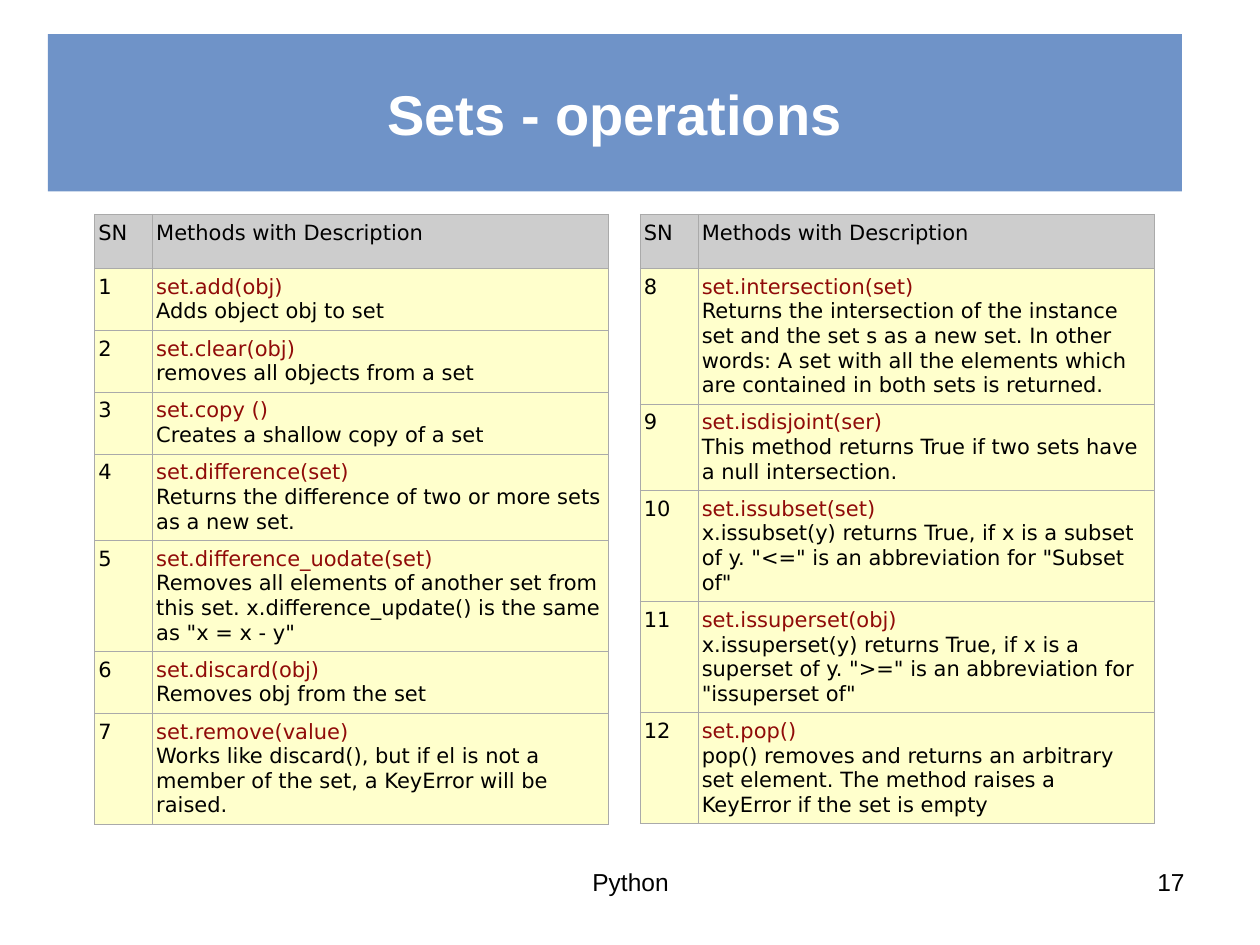
from lxml import etree
from pptx import Presentation
from pptx.dml.color import RGBColor
from pptx.enum.text import MSO_ANCHOR, PP_ALIGN
from pptx.oxml.ns import qn
from pptx.util import Inches, Pt

CENTER, RIGHT, MIDDLE = PP_ALIGN.CENTER, PP_ALIGN.RIGHT, MSO_ANCHOR.MIDDLE
TITLE_ONLY = 5

COLORS = {
    "banner": "4775B9", "title": "FFFFFF", "text": "000000", "method": "900B09",
    "header": "CDCDCD", "body": "FFFFCC", "border": "AAAAAA",
}
TITLE = "Sets - operations"
HEADINGS = ("SN", "Methods with Description")

# Each method: signature, description, lines it takes up in its cell
METHOD_GROUPS = [
    [
        ("set.add(obj)", "Adds object obj to set", 2),
        ("set.clear(obj)", "removes all objects from a set", 2),
        ("set.copy ()", "Creates a shallow copy of a set", 2),
        ("set.difference(set)",
         "Returns the difference of two or more sets as a new set.", 3),
        ("set.difference_uodate(set)",
         "Removes all elements of another set from this set. "
         'x.difference_update() is the same as "x = x - y"', 4),
        ("set.discard(obj)", "Removes obj from the set", 2),
        ("set.remove(value)",
         "Works like discard(), but if el is not a member of the set, "
         "a KeyError will be raised.", 4),
    ],
    [
        ("set.intersection(set)",
         "Returns the intersection of the instance set and the set s as a new set. "
         "In other words: A set with all the elements which are contained "
         "in both sets is returned.", 5),
        ("set.isdisjoint(ser)",
         "This method returns True if two sets have a null intersection.", 3),
        ("set.issubset(set)",
         "x.issubset(y) returns True, if x is a subset of y. "
         '"<=" is an abbreviation for "Subset of"', 4),
        ("set.issuperset(obj)",
         "x.issuperset(y) returns True, if x is a superset of y. "
         '">=" is an abbreviation for "issuperset of"', 4),
        ("set.pop()",
         "pop() removes and returns an arbitrary set element. "
         "The method raises a KeyError if the set is empty", 4),
    ],
]
# Text, left, width, alignment
FOOTERS = [("17", 7.17, 2.33, RIGHT), ("Python", 3.42, 3.17, CENTER)]

TABLE_LEFT, TABLE_TOP, TABLE_STEP = 0.75, 1.7, 4.33
COLUMN_WIDTHS = (0.46, 3.62)
HEADER_HEIGHT, LINE_HEIGHT, ROW_PADDING = 0.43, 0.2, 0.06


def rgb(name):
    return RGBColor.from_string(COLORS[name])


def style_font(font, name, size, color, bold=False):
    font.name, font.size, font.bold = name, Pt(size), bold
    font.color.rgb = rgb(color)


def add_borders(cell):
    properties = cell._tc.get_or_add_tcPr()
    for index, side in enumerate(("a:lnL", "a:lnR", "a:lnT", "a:lnB")):
        line = etree.Element(qn(side), w=str(Pt(0.34)))
        fill = etree.SubElement(line, qn("a:solidFill"))
        etree.SubElement(fill, qn("a:srgbClr"), val=COLORS["border"])
        properties.insert(index, line)


def fill_cell(cell, spans, background):
    """Write (text, colour) spans, one below the other, into a bordered cell."""
    cell.margin_left = cell.margin_right = Inches(0.03)
    cell.margin_top = cell.margin_bottom = Inches(0.05)
    cell.fill.solid()
    cell.fill.fore_color.rgb = rgb(background)
    add_borders(cell)
    para = cell.text_frame.paragraphs[0]
    style_font(para.font, "DejaVu Sans", 12, "text")
    for index, (text, color) in enumerate(spans):
        if index:
            para.add_line_break()
        span = para.add_run()
        span.text = text
        style_font(span.font, "DejaVu Sans", 12, color)


def add_method_table(page, methods, left, first_number):
    heights = [HEADER_HEIGHT]
    heights += [ROW_PADDING + LINE_HEIGHT * lines for _, _, lines in methods]
    table = page.shapes.add_table(
        len(heights), len(COLUMN_WIDTHS), Inches(left), Inches(TABLE_TOP),
        Inches(sum(COLUMN_WIDTHS)), Inches(sum(heights))).table
    table.first_row = table.horz_banding = False
    for column, width in zip(table.columns, COLUMN_WIDTHS):
        column.width = Inches(width)
    for row, height in zip(table.rows, heights):
        row.height = Inches(height)
    for column, heading in enumerate(HEADINGS):
        fill_cell(table.cell(0, column), [(heading, "text")], "header")
    for row, (signature, description, _) in enumerate(methods, 1):
        number = str(first_number + row - 1)
        fill_cell(table.cell(row, 0), [(number, "text")], "body")
        fill_cell(table.cell(row, 1),
                  [(signature, "method"), (description, "text")], "body")


def add_title(page):
    title = page.shapes.title
    title.left, title.top = Inches(0.38), Inches(0.27)
    title.width, title.height = Inches(9), Inches(1.25)
    title.fill.solid()
    title.fill.fore_color.rgb = rgb("banner")
    color = title._element.spPr.find(".//" + qn("a:srgbClr"))
    etree.SubElement(color, qn("a:alpha"), val="78000")
    title.text_frame.text = TITLE
    title.text_frame.vertical_anchor = MIDDLE
    para = title.text_frame.paragraphs[0]
    para.alignment = CENTER
    style_font(para.font, "Arial", 32, "title", bold=True)


def add_footer(page, text, left, width, alignment):
    box = page.shapes.add_textbox(Inches(left), Inches(6.83), Inches(width), Inches(0.52))
    box.text_frame.word_wrap = True
    box.text_frame.text = text
    para = box.text_frame.paragraphs[0]
    para.alignment = alignment
    style_font(para.font, "Arial", 14, "text")


def main():
    deck = Presentation()
    deck.slide_width, deck.slide_height = Inches(10), Inches(7.5)
    page = deck.slides.add_slide(deck.slide_layouts[TITLE_ONLY])
    add_title(page)
    first_number = 1
    for index, methods in enumerate(METHOD_GROUPS):
        add_method_table(page, methods, TABLE_LEFT + index * TABLE_STEP, first_number)
        first_number += len(methods)
    for footer in FOOTERS:
        add_footer(page, *footer)
    deck.save("out.pptx")


if __name__ == "__main__":
    main()
